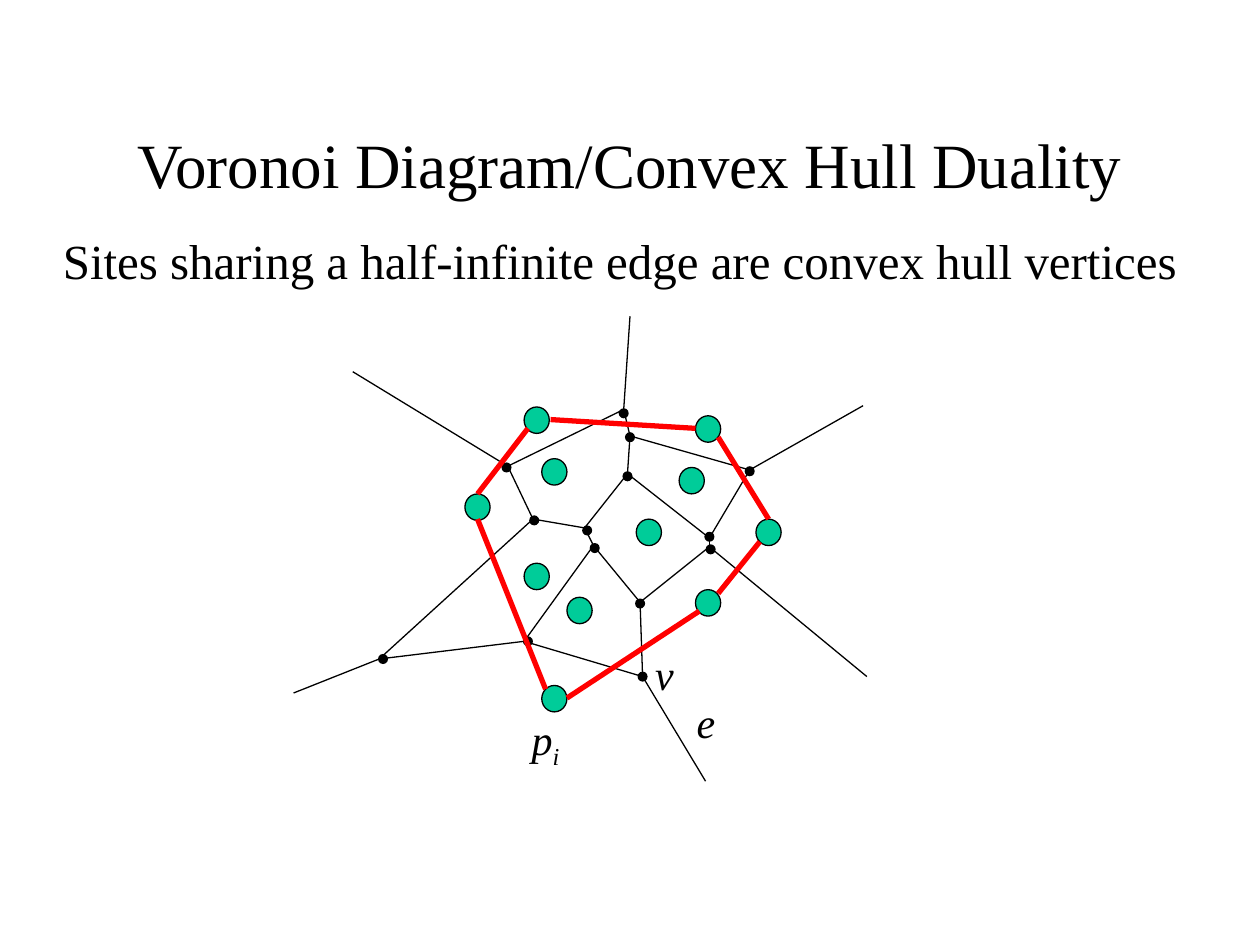
from dataclasses import dataclass

from lxml import etree
from pptx import Presentation
from pptx import util as u
from pptx.dml.color import RGBColor
from pptx.enum import shapes, text
from pptx.oxml import ns

COLOURS = {"ink": "000000", "site": "00CC99", "hull": "FF0000"}
FONT = "Times New Roman"
CM_PER_INCH = 2.54
DOT_SIZE = (0.08, 0.08)
SITE_SIZE = (0.2, 0.21)

Point = tuple[float, float]


@dataclass(frozen=True)
class Vertex:
    """A Voronoi vertex: where its edges meet and the corner of its dot."""
    junction: Point
    dot: Point


@dataclass(frozen=True)
class Run:
    """A piece of text in one style."""
    words: str
    size: float
    italic: bool = False
    subscript: bool = False


@dataclass(frozen=True)
class Label:
    """A text box with its runs."""
    corner: Point
    size: Point
    runs: tuple[Run, ...]
    centred: bool = False
    wrap: bool = False
    anchor: text.MSO_ANCHOR = text.MSO_ANCHOR.TOP
    space_before: float = 0


VERTICES = {
    "south": Vertex((5.1, 5.37), (5.06, 5.33)),
    "southwest": Vertex((4.16, 5.09), (4.15, 5.05)),
    "far west": Vertex((3.01, 5.23), (3, 5.19)),
    "west": Vertex((4.23, 4.12), (4.2, 4.09)),
    "inner west": Vertex((4.64, 4.19), (4.62, 4.17)),
    "inner southwest": Vertex((4.71, 4.33), (4.68, 4.31)),
    "inner south": Vertex((5.08, 4.78), (5.04, 4.75)),
    "lower east": Vertex((5.63, 4.34), (5.6, 4.32)),
    "upper east": Vertex((5.63, 4.27), (5.59, 4.22)),
    "inner north": Vertex((4.98, 3.76), (4.94, 3.74)),
    "upper middle": Vertex((5, 3.46), (4.96, 3.43)),
    "north": Vertex((4.95, 3.25), (4.91, 3.24)),
    "northwest": Vertex((4.03, 3.7), (3.98, 3.67)),
    "northeast": Vertex((5.95, 3.73), (5.91, 3.7)),
}
EDGES = [
    ("upper middle", "north"), ("inner west", "inner southwest"),
    ("inner west", "inner north"), ("inner south", "lower east"),
    ("lower east", "upper east"), ("northwest", "west"),
    ("west", "far west"), ("far west", "southwest"),
    ("southwest", "inner southwest"), ("west", "inner west"),
    ("inner north", "upper east"), ("inner southwest", "inner south"),
    ("southwest", "south"), ("south", "inner south"),
    ("inner north", "upper middle"), ("northwest", "north"),
    ("upper middle", "northeast"), ("upper east", "northeast"),
]
HALF_INFINITE_EDGES = {
    "northwest": (2.8, 2.95), "far west": (2.33, 5.5), "south": (5.6, 6.2),
    "lower east": (6.88, 5.37), "northeast": (6.85, 3.22), "north": (5, 2.51),
}
SITES = [
    (4.3, 5.44), (4.5, 4.74), (5.05, 4.12), (5.52, 4.68), (6, 4.12), (5.39, 3.71),
    (5.52, 3.3), (4.16, 4.47), (3.69, 3.92), (4.3, 3.64), (4.16, 3.23),
]
HULL_SIDES = [
    ((6.03, 4.3), (5.7, 4.71)), ((4.33, 5.47), (3.79, 4.12)),
    ((3.79, 3.92), (4.19, 3.4)), ((4.37, 3.33), (5.52, 3.4)),
    ((5.7, 3.47), (6.1, 4.12)), ((5.55, 4.85), (4.5, 5.54)),
]
HEADINGS = [
    Label((0.75, 0.67), (8.5, 1.25), (Run("Voronoi Diagram/Convex Hull Duality", 36),),
          centred=True, wrap=True, anchor=text.MSO_ANCHOR.MIDDLE),
    Label((0.21, 1.78), (9.42, 4.5),
          (Run("Sites sharing a half-infinite edge are convex hull vertices", 28),),
          centred=True, wrap=True, space_before=7),
]
EDGE_LABELS = [
    Label((5.43, 5.48), (0.35, 0.5), (Run("e", 24, italic=True),)),
    Label((5.1, 5.1), (0.35, 0.5), (Run("v", 24, italic=True),)),
]
SITE_LABEL = Label((4.12, 5.61), (0.42, 0.56),
                   (Run("p", 24, italic=True), Run("i", 24, italic=True, subscript=True)))


def lengths(*inches: float) -> list[u.Cm]:
    """Convert inch values to centimetre lengths."""
    return [u.Cm(value * CM_PER_INCH) for value in inches]


def colour(name: str) -> RGBColor:
    """Look up a named colour."""
    return RGBColor.from_string(COLOURS[name])


def draw_line(slide, start: Point, end: Point, ink: str = "ink", width: float = 0.75) -> None:
    """Draw a straight line without a shadow."""
    line = slide.shapes.add_connector(shapes.MSO_CONNECTOR.STRAIGHT, *lengths(*start, *end))
    line.line.color.rgb = colour(ink)
    line.line.width = u.Pt(width)
    etree.SubElement(line._element.spPr, ns.qn("a:effectLst"))


def draw_circle(slide, corner: Point, size: Point, fill: str, outlined: bool) -> None:
    """Draw a filled circle, with or without an outline."""
    circle = slide.shapes.add_shape(shapes.MSO_SHAPE.OVAL, *lengths(*corner, *size))
    circle.shadow.inherit = False
    circle.fill.solid()
    circle.fill.fore_color.rgb = colour(fill)
    if outlined:
        circle.line.color.rgb = colour("ink")
        circle.line.width = u.Pt(0.75)
    else:
        circle.line.fill.background()


def draw_label(slide, label: Label) -> None:
    """Draw a text box run by run."""
    frame = slide.shapes.add_textbox(*lengths(*label.corner, *label.size)).text_frame
    frame.word_wrap = label.wrap
    frame.vertical_anchor = label.anchor
    paragraph = frame.paragraphs[0]
    paragraph.alignment = text.PP_ALIGN.CENTER if label.centred else text.PP_ALIGN.LEFT
    paragraph.space_before = u.Pt(label.space_before)
    for piece in label.runs:
        run = paragraph.add_run()
        run.text = piece.words
        run.font.name = FONT
        run.font.size = u.Pt(piece.size)
        run.font.italic = piece.italic
        run.font.color.rgb = colour("ink")
        if piece.subscript:
            run._r.get_or_add_rPr().set("baseline", "-25000")


def main() -> None:
    """Build the Voronoi and convex hull slide."""
    presentation = Presentation()
    presentation.slide_width, presentation.slide_height = lengths(10, 7.5)
    slide = presentation.slides.add_slide(presentation.slide_layouts[6])
    for heading in HEADINGS:
        draw_label(slide, heading)
    for start, end in EDGES:
        draw_line(slide, VERTICES[start].junction, VERTICES[end].junction)
    for start, far_end in HALF_INFINITE_EDGES.items():
        draw_line(slide, VERTICES[start].junction, far_end)
    for label in EDGE_LABELS:
        draw_label(slide, label)
    for vertex in VERTICES.values():
        draw_circle(slide, vertex.dot, DOT_SIZE, "ink", outlined=False)
    for corner in SITES:
        draw_circle(slide, corner, SITE_SIZE, "site", outlined=True)
    draw_label(slide, SITE_LABEL)
    for start, end in HULL_SIDES:
        draw_line(slide, start, end, "hull", 3)
    presentation.save("out.pptx")


if __name__ == "__main__":
    main()
